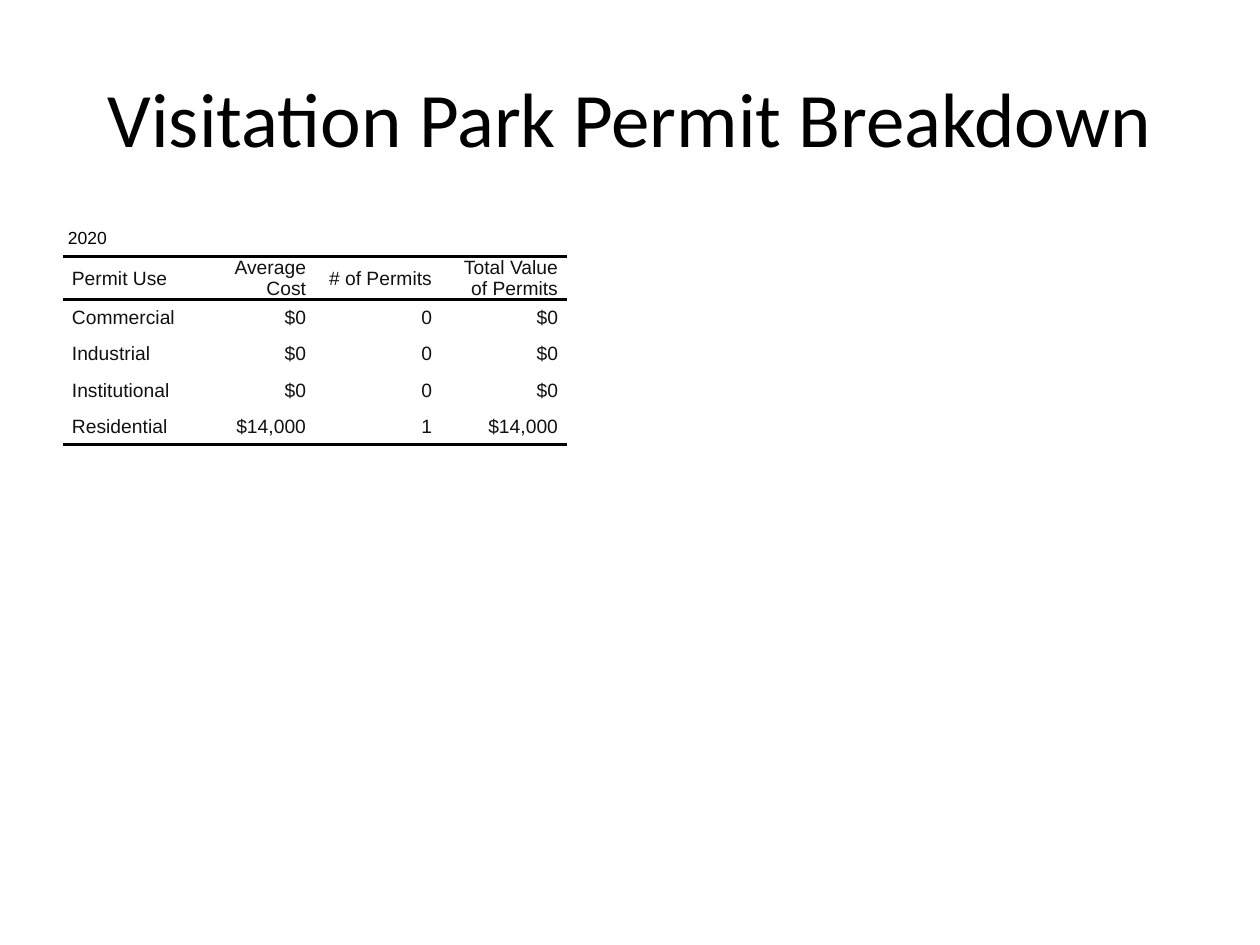
from lxml.etree import SubElement
from pptx import Presentation
from pptx.dml.color import RGBColor
from pptx.enum.text import MSO_ANCHOR, PP_ALIGN
from pptx.oxml.ns import qn
from pptx.util import Cm, Pt

# Content
TITLE = "Visitation Park Permit Breakdown"
YEAR = "2020"
ROWS = [
    ("Permit Use", "Average Cost", "# of Permits", "Total Value of Permits"),
    ("Commercial", "$0", "0", "$0"),
    ("Industrial", "$0", "0", "$0"),
    ("Institutional", "$0", "0", "$0"),
    ("Residential", "$14,000", "1", "$14,000"),
]
RULES = {1: ("lnT", "lnB"), len(ROWS): ("lnB",)}  # table row: ruled edges

THEME = {
    "title": ("Calibri", Pt(44), "000000"),
    "year": ("Arial", Pt(10), "000000"),
    "body": ("Arial", Pt(11), "111111"),
    "rule": (Pt(2), "000000"),
}
COLUMN_WIDTH, ROW_HEIGHT = Cm(2.54), Cm(0.73)
CELL_INDENT, YEAR_INDENT = Cm(0.18), Cm(0.1)
NO_STYLE = "{2D5ABB26-0587-4C30-8999-92F81FD0307C}"


def style_paragraph(paragraph, role, align):
    name, size, color = THEME[role]
    paragraph.alignment = align
    paragraph.font.name = name
    paragraph.font.size = size
    paragraph.font.color.rgb = RGBColor.from_string(color)


def add_rule(cell, edge):
    width, color = THEME["rule"]
    line = SubElement(cell._tc.get_or_add_tcPr(), qn(f"a:{edge}"), w=str(width))
    fill = SubElement(line, qn("a:solidFill"))
    SubElement(fill, qn("a:srgbClr"), val=color)


def fill_cell(cell, text, role, align, indent, edges=()):
    cell.margin_left = cell.margin_right = cell.margin_top = cell.margin_bottom = 0
    cell.vertical_anchor = MSO_ANCHOR.MIDDLE
    for edge in edges:
        add_rule(cell, edge)
    cell.fill.background()
    cell.text = text
    paragraph = cell.text_frame.paragraphs[0]
    properties = paragraph._p.get_or_add_pPr()
    for side in ("marL", "marR"):
        properties.set(side, str(indent))
    style_paragraph(paragraph, role, align)
    return paragraph


presentation = Presentation()
presentation.slide_width, presentation.slide_height = Cm(25.4), Cm(19.05)
slide = presentation.slides.add_slide(presentation.slide_layouts[5])

# Title
title = slide.shapes.title
title.left, title.top, title.width, title.height = Cm(1.27), Cm(0.76), Cm(22.86), Cm(3.18)
title.text_frame.text = TITLE
title.text_frame.vertical_anchor = MSO_ANCHOR.MIDDLE
style_paragraph(title.text_frame.paragraphs[0], "title", PP_ALIGN.CENTER)

# Permit table
row_count, column_count = len(ROWS) + 1, len(ROWS[0])
table = slide.shapes.add_table(
    row_count, column_count, Cm(1.27), Cm(4.45),
    COLUMN_WIDTH * column_count, ROW_HEIGHT * row_count).table
table.first_row = table.horz_banding = False
table._tbl.tblPr.find(qn("a:tableStyleId")).text = NO_STYLE
for column in table.columns:
    column.width = COLUMN_WIDTH
for row in table.rows:
    row.height = ROW_HEIGHT

# Year across the top, then the header and the permit uses
table.cell(0, 0).merge(table.cell(0, column_count - 1))
fill_cell(table.cell(0, 0), YEAR, "year", PP_ALIGN.LEFT, YEAR_INDENT)
for row_index, values in enumerate(ROWS, start=1):
    for column_index, value in enumerate(values):
        align = PP_ALIGN.RIGHT if column_index else PP_ALIGN.LEFT
        paragraph = fill_cell(table.cell(row_index, column_index), value, "body",
                              align, CELL_INDENT, RULES.get(row_index, ()))
        paragraph.space_before = paragraph.space_after = Pt(2)

presentation.save("out.pptx")
